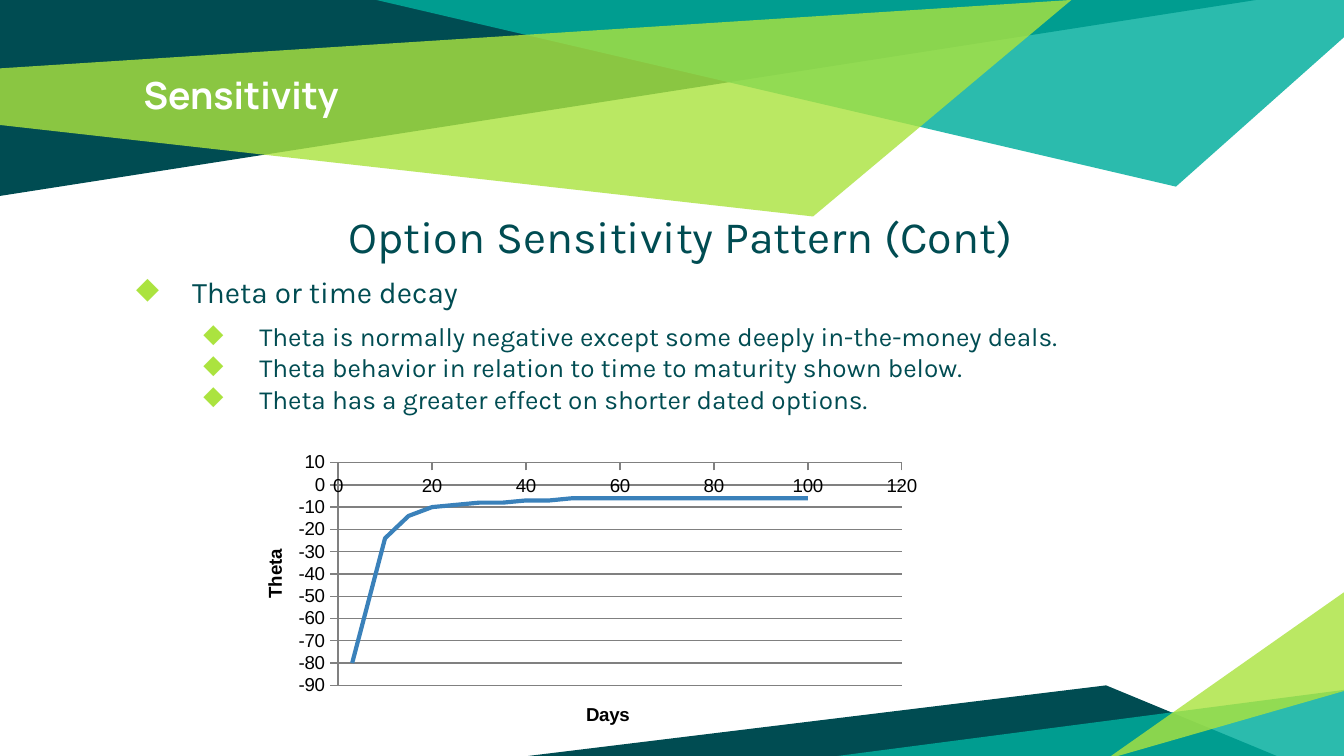
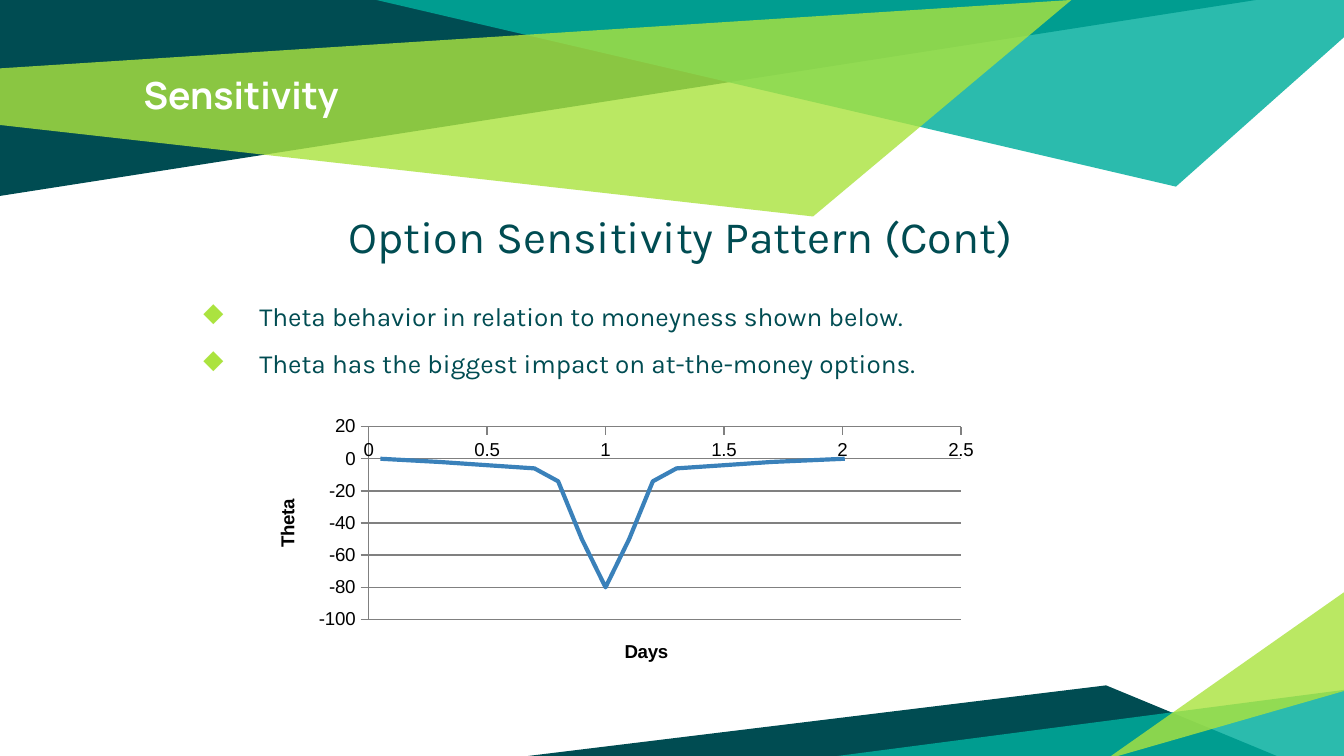
import lxml.etree
import pptx
import pptx.chart.data
import pptx.dml.color
import pptx.enum.chart
import pptx.enum.text
import pptx.oxml.ns
import pptx.util

Pt = pptx.util.Pt
qn = pptx.oxml.ns.qn

DARK, TEAL, LIME = "004C52", "00AE9D", "ABE33F"
WHITE, BLACK, GRID, CURVE = "FFFFFF", "000000", "808080", "3A81BA"

# Shared bands: colour, opacity in percent, corners in points
BANDS = [
    (DARK, 100, [(0, 0), (0, 105), (673, 0)]),
    (TEAL, 83, [(201.6, 0), (630, 100), (720, 20), (720, 0)]),
    (LIME, 81, [(-0.5, 36.7), (0, 67), (435.6, 116), (574, 0)]),
    (DARK, 100, [(283, 405), (684, 405), (592.6, 367.2)]),
    (TEAL, 83, [(721.4, 369.4), (721.4, 406.8), (434.9, 406.8)]),
    (LIME, 81, [(720.7, 370), (720.7, 316.8), (592.6, 406.8)]),
]

# What differs between the slides
SLIDES = [
    dict(
        points=[
            ("Theta or time decay", dict(size=16, indent=36, before=6)),
            ("Theta is normally negative except some deeply in-the-money deals.", dict(before=6)),
            ("Theta behavior in relation to time to maturity shown below.", {}),
            ("Theta has a greater effect on shorter dated options.", {}),
        ],
        place=(139, 236.2, 360, 155.5),
        plot=(0.117, 0.075, 0.839, 0.768),
        days=[3, 10, 15, 20, 25, 30, 35, 40, 45, 50, 100],
        theta=[-80, -24, -14, -10, -9, -8, -8, -7, -7, -6, -6],
        days_scale=(0, 120, 20),
        theta_scale=(-90, 10, 10),
    ),
    dict(
        points=[
            ("Theta behavior in relation to moneyness shown below.", dict(before=12, spacing=1.5)),
            ("Theta has the biggest impact on at-the-money options.", dict(spacing=1.5)),
        ],
        place=(133.2, 219.6, 396.7, 149.8),
        plot=(0.162, 0.06, 0.8, 0.69),
        days=[0.05, 0.3, 0.5, 0.7, 0.8, 0.9, 1, 1.1, 1.2, 1.3, 1.5, 1.7, 2.01],
        theta=[0, -2, -4, -6, -14, -50, -80, -50, -14, -6, -4, -2, 0],
        days_scale=(0, 2.5, 0.5),
        theta_scale=(-100, 20, 20),
    ),
]


def rgb(value):
    return pptx.dml.color.RGBColor.from_string(value)


def add_text(frame, text, size=14, font="Karla", color=DARK, bold=False, align=None,
             bullet=True, indent=72, before=0, spacing=None):
    paragraph = frame.paragraphs[0]
    if paragraph.runs:
        paragraph = frame.add_paragraph()
    run = paragraph.add_run()
    run.text = text
    run.font.size, run.font.name, run.font.bold = Pt(size), font, bold
    run.font.color.rgb = rgb(color)
    paragraph.alignment = align
    paragraph.space_before = Pt(before)
    if spacing:
        paragraph.line_spacing = spacing
    properties = paragraph._p.get_or_add_pPr()
    properties.set("marL", str(Pt(indent)))
    properties.set("indent", str(Pt(-30 if bullet else 0)))
    if bullet:
        tint = lxml.etree.SubElement(properties, qn("a:buClr"))
        lxml.etree.SubElement(tint, qn("a:srgbClr"), val=LIME)
        lxml.etree.SubElement(properties, qn("a:buChar"), char="◆")


deck = pptx.Presentation()
deck.slide_width, deck.slide_height = Pt(720), Pt(405)

for content in SLIDES:
    slide = deck.slides.add_slide(deck.slide_layouts[6])

    # Bands at the top and bottom
    for color, opacity, corners in BANDS:
        corners = [(Pt(x), Pt(y)) for x, y in corners]
        outline = slide.shapes.build_freeform(*corners[0])
        outline.add_line_segments(corners[1:], close=True)
        band = outline.convert_to_shape()
        band.shadow.inherit = False
        band.line.fill.background()
        band.fill.solid()
        band.fill.fore_color.rgb = rgb(color)
        if opacity < 100:
            tint = band._element.spPr.find(qn("a:solidFill"))[0]
            lxml.etree.SubElement(tint, qn("a:alpha"), val=str(opacity * 1000))

    # Title and body
    title = slide.shapes.add_textbox(Pt(69.8), Pt(31.7), Pt(580), Pt(46)).text_frame
    body = slide.shapes.add_textbox(Pt(59.8), Pt(104.4), Pt(603.4), Pt(285)).text_frame
    for frame in (title, body):
        frame.word_wrap = True
        frame.margin_left = frame.margin_right = Pt(7.2)
        frame.margin_top = frame.margin_bottom = Pt(7.2)
    add_text(title, "Sensitivity", size=20, font="Manrope", color=WHITE, bold=True,
             bullet=False, indent=0)
    add_text(body, "Option Sensitivity Pattern (Cont)", size=24, bullet=False, indent=6,
             before=6, align=pptx.enum.text.PP_ALIGN.CENTER)
    for text, style in content["points"]:
        add_text(body, text, **style)

    # Theta curve
    data = pptx.chart.data.XyChartData()
    curve = data.add_series("Series 1")
    for day, theta in zip(content["days"], content["theta"]):
        curve.add_data_point(day, theta)
    chart = slide.shapes.add_chart(
        pptx.enum.chart.XL_CHART_TYPE.XY_SCATTER_SMOOTH_NO_MARKERS,
        *[Pt(length) for length in content["place"]], data).chart
    chart.has_legend = chart.has_title = False
    chart.font.size, chart.font.name = Pt(10), "Arial"
    chart.font.color.rgb = rgb(BLACK)
    chart.plots[0].vary_by_categories = False
    series = chart.plots[0].series[0]
    series.smooth = True
    series.marker.style = pptx.enum.chart.XL_MARKER_STYLE.NONE
    series.format.line.width = Pt(2.25)
    series.format.line.color.rgb = rgb(CURVE)

    # Axes, with the days along the top of the plot
    for axis, name, scale in (
        (chart.category_axis, "Days", content["days_scale"]),
        (chart.value_axis, "Theta", content["theta_scale"]),
    ):
        axis.minimum_scale, axis.maximum_scale, axis.major_unit = scale
        axis.major_tick_mark = pptx.enum.chart.XL_TICK_MARK.OUTSIDE
        axis.tick_label_position = pptx.enum.chart.XL_TICK_LABEL_POSITION.NEXT_TO_AXIS
        axis.tick_labels.number_format = "General"
        axis.tick_labels.number_format_is_linked = False
        axis.format.line.color.rgb = rgb(GRID)
        axis.has_major_gridlines = name == "Theta"
        axis.axis_title.text_frame.text = name
        label = axis.axis_title.text_frame.paragraphs[0].runs[0].font
        label.size, label.name, label.bold = Pt(10), "Arial", True
        label.color.rgb = rgb(BLACK)
    chart.value_axis.major_gridlines.format.line.color.rgb = rgb(GRID)
    chart.value_axis.crosses_at = content["theta_scale"][1]

    # Fixed inner plot area
    area = chart._chartSpace.chart.plotArea
    for old in area.findall(qn("c:layout")):
        area.remove(old)
    layout = lxml.etree.Element(qn("c:layout"))
    area.insert(0, layout)
    manual = lxml.etree.SubElement(layout, qn("c:manualLayout"))
    settings = [("layoutTarget", "inner"), ("xMode", "edge"), ("yMode", "edge")]
    for tag, value in settings + list(zip("xywh", content["plot"])):
        lxml.etree.SubElement(manual, qn("c:" + tag), val=str(value))

deck.save("out.pptx")
